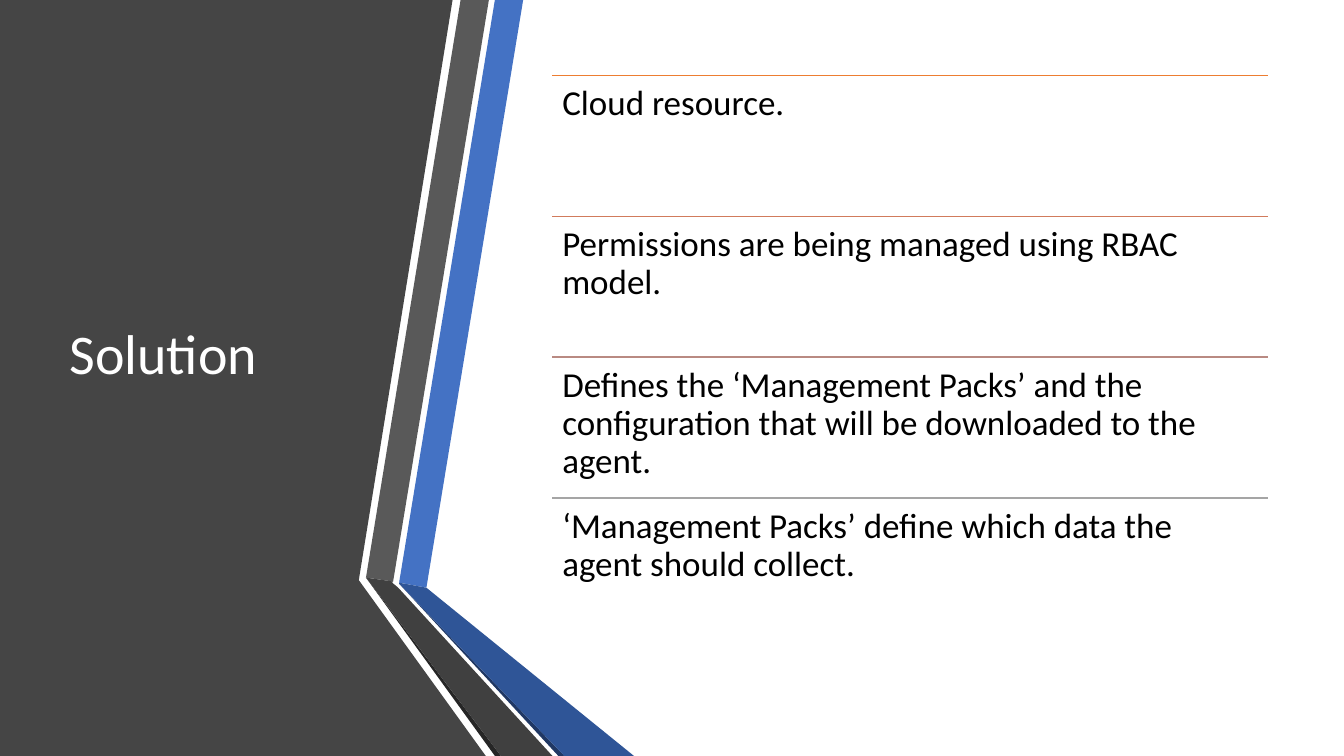
from lxml.etree import SubElement
from pptx import Presentation
from pptx.dml.color import RGBColor
from pptx.enum.shapes import MSO_CONNECTOR
from pptx.enum.text import MSO_ANCHOR, PP_ALIGN
from pptx.oxml.ns import qn
from pptx.util import Pt

FONT = "Calibri"
WHITE = RGBColor(0xFF, 0xFF, 0xFF)
BLACK = RGBColor(0x00, 0x00, 0x00)
PANEL_GREY = RGBColor(0x45, 0x45, 0x45)
BAND_BLUE = RGBColor(0x44, 0x72, 0xC4)
BAND_GREY = RGBColor(0x59, 0x59, 0x59)
EDGE_GREY = RGBColor(0x26, 0x26, 0x26)
EDGE_BLUE = RGBColor(0x20, 0x38, 0x64)
FOLD_BLUE = RGBColor(0x2F, 0x55, 0x97)
FOLD_GREY = RGBColor(0x40, 0x40, 0x40)

# Outlines in points, from back to front
PANEL = (PANEL_GREY, [(0, 0), (323.3, 0), (256.3, 414.4), (347, 540), (0, 540)])
RIBBONS = [
    (BAND_BLUE, [(285.1, 416.2), (304.6, 419.8), (373.7, 0), (353.5, 0)]),
    (BAND_GREY, [(349.2, 0), (329, 0), (261.4, 412.6), (280.8, 415.4)]),
    (EDGE_GREY, [(261.4, 412.6), (353.5, 540), (357.8, 540)]),
    (EDGE_BLUE, [(285.1, 416.9), (398.9, 540), (403.2, 540)]),
    (FOLD_BLUE, [(285.1, 416.2), (285.1, 416.9), (403.2, 540), (452.9, 540),
                 (304.6, 419.8)]),
    (FOLD_GREY, [(261.4, 412.6), (357.8, 540), (394.6, 540), (284.4, 419.8),
                 (280.1, 416.2), (280.8, 415.4)]),
]

# Each statement with the colour of the rule above it
STATEMENTS = [
    (RGBColor(0xED, 0x7D, 0x31), "Cloud resource."),
    (RGBColor(0xD1, 0x7B, 0x5C), "Permissions are being managed using RBAC model."),
    (RGBColor(0xB9, 0x8A, 0x82),
     "Defines the ‘Management Packs’ and the configuration that will be "
     "downloaded to the agent."),
    (RGBColor(0xA5, 0xA5, 0xA5),
     "‘Management Packs’ define which data the agent should collect."),
]
LIST_LEFT, LIST_TOP, LIST_WIDTH, ROW_HEIGHT = 394.6, 54, 511.2, 100.55


def add_outline(slide, color, points):
    corners = [(Pt(x), Pt(y)) for x, y in points]
    builder = slide.shapes.build_freeform(*corners[0])
    builder.add_line_segments(corners[1:], close=True)
    outline = builder.convert_to_shape()
    outline.shadow.inherit = False
    outline.fill.solid()
    outline.fill.fore_color.rgb = color
    outline.line.fill.background()


def write_text(frame, text, size, color):
    frame.word_wrap = True
    paragraph = frame.paragraphs[0]
    paragraph.text = text
    paragraph.alignment = PP_ALIGN.LEFT
    paragraph.line_spacing = 0.9
    paragraph.font.name = FONT
    paragraph.font.size = Pt(size)
    paragraph.font.color.rgb = color


def place_title(slide, text):
    title = slide.shapes.title
    title.left, title.top = Pt(42.5), Pt(54)
    title.width, title.height = Pt(218.9), Pt(401.8)
    title.text_frame.vertical_anchor = MSO_ANCHOR.MIDDLE
    write_text(title.text_frame, text, 40, WHITE)
    # Bring the title in front of the panel
    slide.shapes.element.append(title.element)


def add_rule(slide, top, color):
    rule = slide.shapes.add_connector(
        MSO_CONNECTOR.STRAIGHT, Pt(LIST_LEFT), Pt(top),
        Pt(LIST_LEFT + LIST_WIDTH), Pt(top))
    rule.line.color.rgb = color
    rule.line.width = Pt(1)
    SubElement(rule.element.spPr, qn("a:effectLst"))


def add_statement(slide, top, text):
    statement = slide.shapes.add_textbox(
        Pt(LIST_LEFT), Pt(top), Pt(LIST_WIDTH), Pt(ROW_HEIGHT))
    frame = statement.text_frame
    frame.margin_left = frame.margin_right = Pt(7.2)
    frame.margin_top = frame.margin_bottom = Pt(7.2)
    write_text(frame, text, 25, BLACK)


def main():
    presentation = Presentation()
    presentation.slide_width, presentation.slide_height = Pt(960), Pt(540)
    slide = presentation.slides.add_slide(presentation.slide_layouts[5])

    # Dark panel with folded ribbons
    for color, points in [PANEL, *RIBBONS]:
        add_outline(slide, color, points)

    place_title(slide, "Solution")

    # Ruled list of statements
    for row, (color, text) in enumerate(STATEMENTS):
        top = LIST_TOP + row * ROW_HEIGHT
        add_rule(slide, top, color)
        add_statement(slide, top, text)

    presentation.save("out.pptx")


if __name__ == "__main__":
    main()
